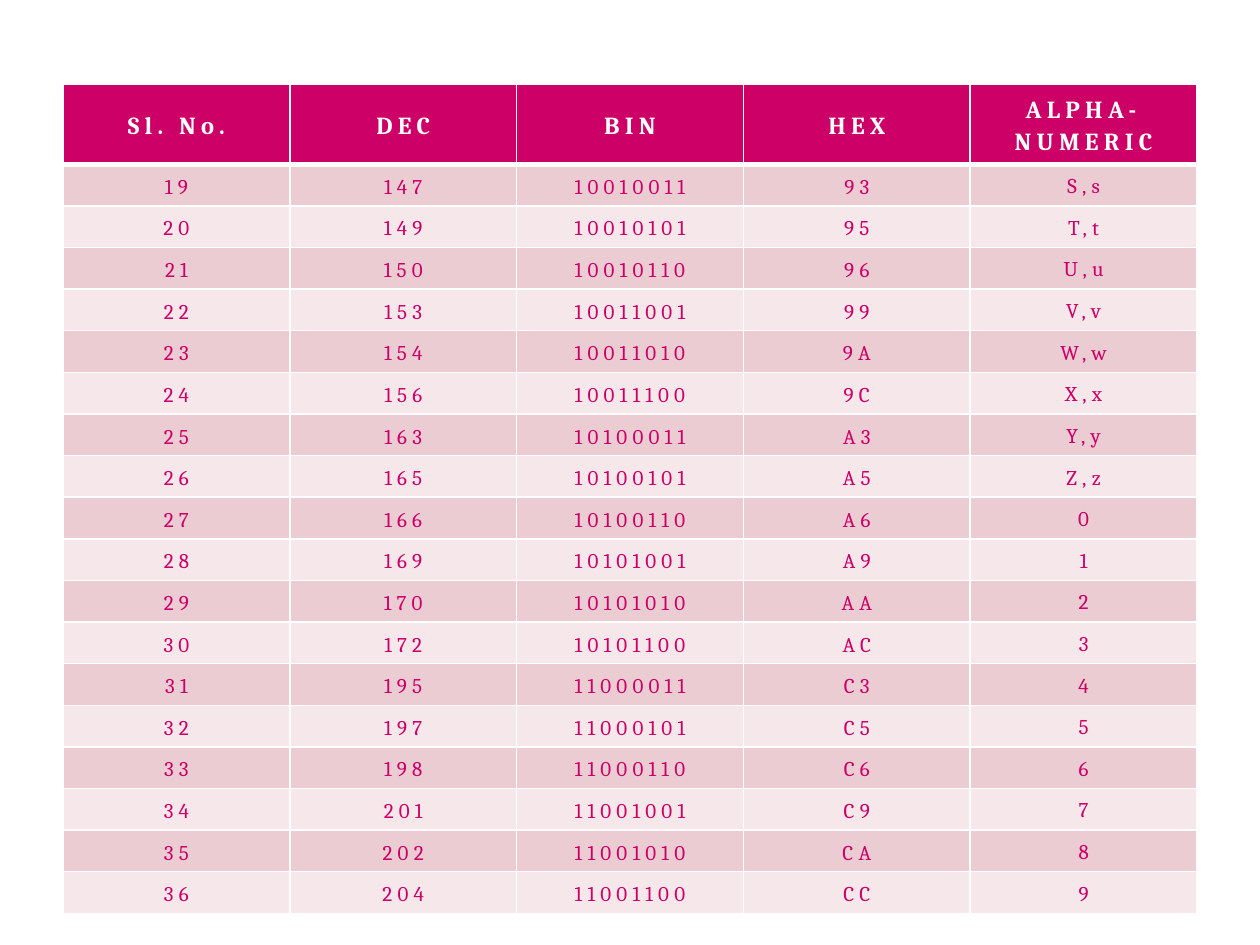
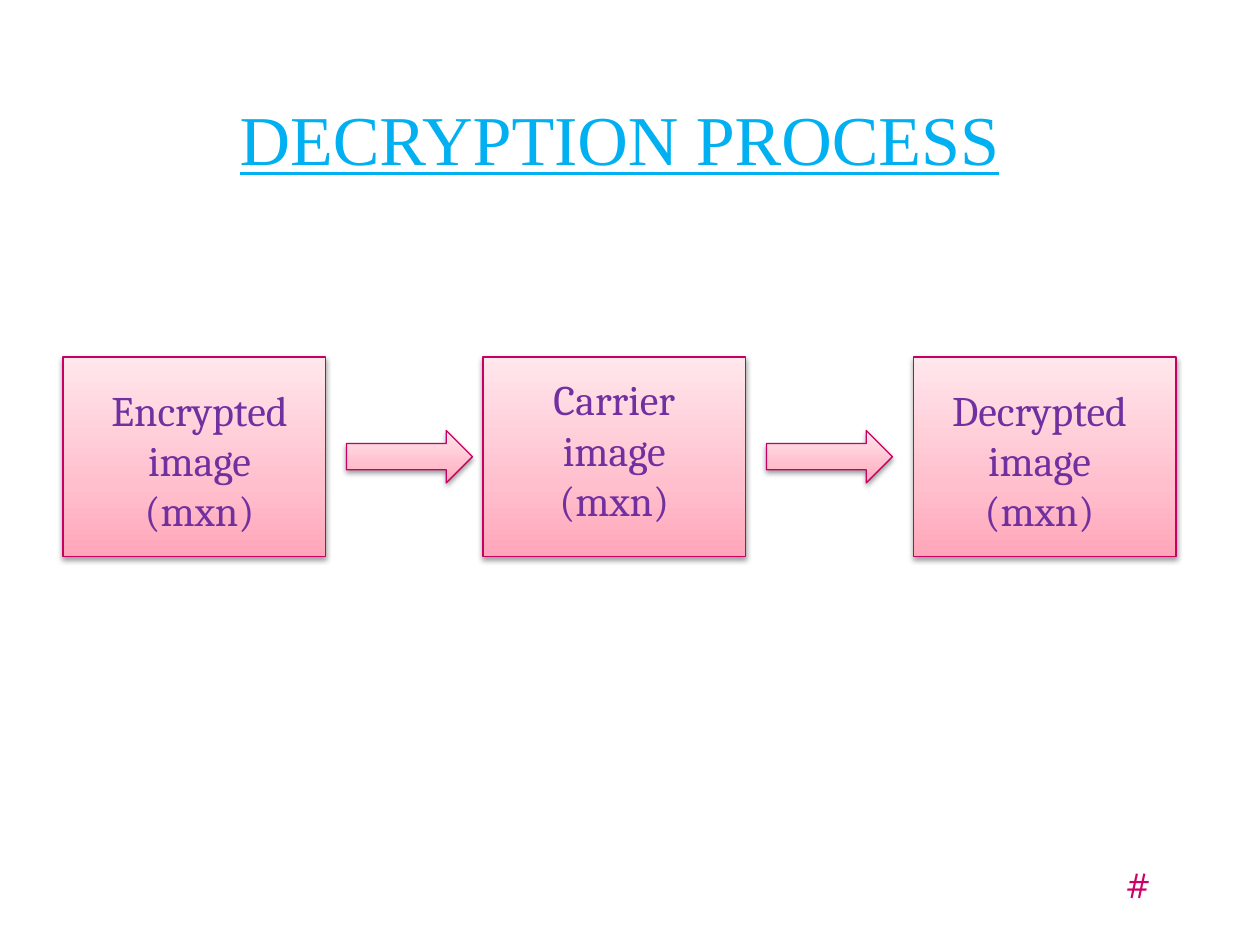
from copy import deepcopy
from dataclasses import dataclass
from itertools import product

from lxml.etree import SubElement
from pptx import Presentation
from pptx.dml.color import RGBColor
from pptx.enum.dml import MSO_LINE
from pptx.enum.shapes import MSO_SHAPE
from pptx.enum.text import MSO_ANCHOR, MSO_AUTO_SIZE, PP_ALIGN
from pptx.oxml.ns import qn
from pptx.util import Emu, Pt

EMU_PER_PX = 9525


@dataclass(frozen=True)
class Theme:
    pink: str = "CC0066"
    outline: str = "C80064"
    white: str = "FFFFFF"
    row_dark: str = "ECCCD3"
    row_light: str = "F6E7EA"
    title_blue: str = "00B0F0"
    label_purple: str = "7030A0"
    shadow: str = "000000"
    gradient: tuple = ((0, "FFA5B9"), (0.35, "FFBFCD"), (1, "FFE7EC"))
    body_font: str = "Cambria"
    title_font: str = "Times New Roman"
    title_size: int = 40
    label_size: int = 24
    header_size: int = 14
    cell_size: int = 12


THEME = Theme()

HEADERS = ("Sl. No.", "DEC", "BIN", "HEX", "ALPHA-NUMERIC")
FIRST_NUMBER = 19
HIGH_DIGITS = "9AC"
LOW_DIGITS = "3569AC"
SYMBOLS = [f"{letter},{letter.lower()}" for letter in "STUVWXYZ"] + list("0123456789")

BOX_TOP = 272
BOX_LEFTS = (48, 368, 696)
ARROW_LEFTS = (264, 584)
LABELS = (
    ("Encrypted image", 64, 288, 176),
    ("Carrier image", 384, 280, 168),
    ("Decrypted image", 704, 288, 176),
)


def px(length):
    return Emu(length * EMU_PER_PX)


def place(left, top, width, height):
    return px(left), px(top), px(width), px(height)


def add_run(paragraph, text, size, color, font=THEME.body_font, bold=False, underline=False):
    run = paragraph.add_run()
    run.text = text
    run.font.name = font
    run.font.size = Pt(size)
    run.font.bold = bold
    run.font.underline = underline
    run.font.color.rgb = RGBColor.from_string(color)
    return run


def add_label(slide, box, lines, color, align=PP_ALIGN.CENTER, wrap=True):
    shape = slide.shapes.add_textbox(*place(*box))
    frame = shape.text_frame
    frame.word_wrap = wrap
    frame.auto_size = MSO_AUTO_SIZE.SHAPE_TO_FIT_TEXT
    for index, line in enumerate(lines):
        paragraph = frame.add_paragraph() if index else frame.paragraphs[0]
        paragraph.alignment = align
        add_run(paragraph, line, THEME.label_size, color)
    return shape


def add_number_to_master(presentation, slide):
    shape = add_label(slide, (848, 648, 36, 48), ["#"], THEME.pink, PP_ALIGN.LEFT, wrap=False)
    presentation.slide_master.shapes.element.append(shape.element)


def add_title(slide, text):
    title = slide.shapes.title
    title.left, title.top, title.width, title.height = place(40, 64, 864, 82)
    title.text_frame.vertical_anchor = MSO_ANCHOR.MIDDLE
    paragraph = title.text_frame.paragraphs[0]
    paragraph.alignment = PP_ALIGN.CENTER
    add_run(paragraph, text, THEME.title_size, THEME.title_blue, THEME.title_font, underline=True)


def add_solid_color(parent, color):
    solid = SubElement(parent, qn("a:solidFill"))
    return SubElement(solid, qn("a:srgbClr"), val=color)


def add_shadow(shape):
    shape.shadow.inherit = False
    effects = shape.element.spPr.find(qn("a:effectLst"))
    shadow = SubElement(effects, qn("a:outerShdw"), blurRad="40000", dist="20000",
                        dir="5400000", rotWithShape="0")
    color = SubElement(shadow, qn("a:srgbClr"), val=THEME.shadow)
    SubElement(color, qn("a:alpha"), val="38000")


def add_gradient_shape(slide, kind, box):
    shape = slide.shapes.add_shape(kind, *place(*box))
    shape.fill.gradient()
    shape.fill.gradient_angle = 90
    stop_list = shape.element.spPr.find(".//" + qn("a:gsLst"))
    stop_list.append(deepcopy(stop_list[0]))
    for stop, (position, color) in zip(shape.fill.gradient_stops, THEME.gradient):
        stop.position = position
        stop.color.rgb = RGBColor.from_string(color)
    shape.line.color.rgb = RGBColor.from_string(THEME.outline)
    shape.line.width = Pt(0.75)
    shape.line.dash_style = MSO_LINE.SOLID
    add_shadow(shape)


def set_borders(cell, top, bottom):
    properties = cell._tc.get_or_add_tcPr()
    widths = {"a:lnL": 1, "a:lnR": 1, "a:lnT": top, "a:lnB": bottom}
    for index, (tag, width) in enumerate(widths.items()):
        line = SubElement(properties, qn(tag), w=str(Pt(width)))
        add_solid_color(line, THEME.white)
        properties.insert(index, line)


def fill_cell(cell, text, fill, size, color, bold=False):
    cell.fill.solid()
    cell.fill.fore_color.rgb = RGBColor.from_string(fill)
    cell.vertical_anchor = MSO_ANCHOR.MIDDLE
    paragraph = cell.text_frame.paragraphs[0]
    paragraph.alignment = PP_ALIGN.CENTER
    paragraph.line_spacing = 1.15
    paragraph.space_after = Pt(10)
    run = add_run(paragraph, text, size, color, bold=bold)
    run.font._element.set("spc", "300")


def code_rows():
    codes = product(HIGH_DIGITS, LOW_DIGITS)
    for number, ((high, low), symbol) in enumerate(zip(codes, SYMBOLS), FIRST_NUMBER):
        value = int(high + low, 16)
        yield str(number), str(value), f"{value:08b}", high + low, symbol


def add_code_table(slide):
    rows = list(code_rows())
    frame = slide.shapes.add_table(len(rows) + 1, len(HEADERS), *place(48, 64, 864, 632))
    table = frame.table
    for row in table.rows:
        row.height = px(30)
    table.rows[0].height = px(47)
    frame.height = px(632)

    for column, text in enumerate(HEADERS):
        cell = table.cell(0, column)
        fill_cell(cell, text, THEME.pink, THEME.header_size, THEME.white, bold=True)
        set_borders(cell, 1, 3)

    for row_index, values in enumerate(rows, 1):
        fill = THEME.row_dark if row_index % 2 else THEME.row_light
        for column, text in enumerate(values):
            cell = table.cell(row_index, column)
            fill_cell(cell, text, fill, THEME.cell_size, THEME.pink)
            set_borders(cell, 3 if row_index == 1 else 1, 1)
            if column < len(HEADERS) - 1:
                cell.margin_left = cell.margin_right = cell.margin_top = px(1)
                cell.margin_bottom = px(0)


def add_decryption_flow(slide):
    for left in BOX_LEFTS:
        add_gradient_shape(slide, MSO_SHAPE.RECTANGLE, (left, BOX_TOP, 200, 152))
    for text, left, top, width in LABELS:
        add_label(slide, (left, top, width, 126), [text, "(mxn)"], THEME.label_purple)
    for left in ARROW_LEFTS:
        add_gradient_shape(slide, MSO_SHAPE.RIGHT_ARROW, (left, 328, 96, 40))


def main():
    presentation = Presentation()
    presentation.slide_width, presentation.slide_height = px(960), px(720)
    title_only, blank = presentation.slide_layouts[5], presentation.slide_layouts[6]

    table_slide = presentation.slides.add_slide(blank)
    add_number_to_master(presentation, table_slide)
    add_code_table(table_slide)

    process_slide = presentation.slides.add_slide(title_only)
    add_title(process_slide, "DECRYPTION PROCESS")
    add_decryption_flow(process_slide)

    presentation.save("out.pptx")


if __name__ == "__main__":
    main()
